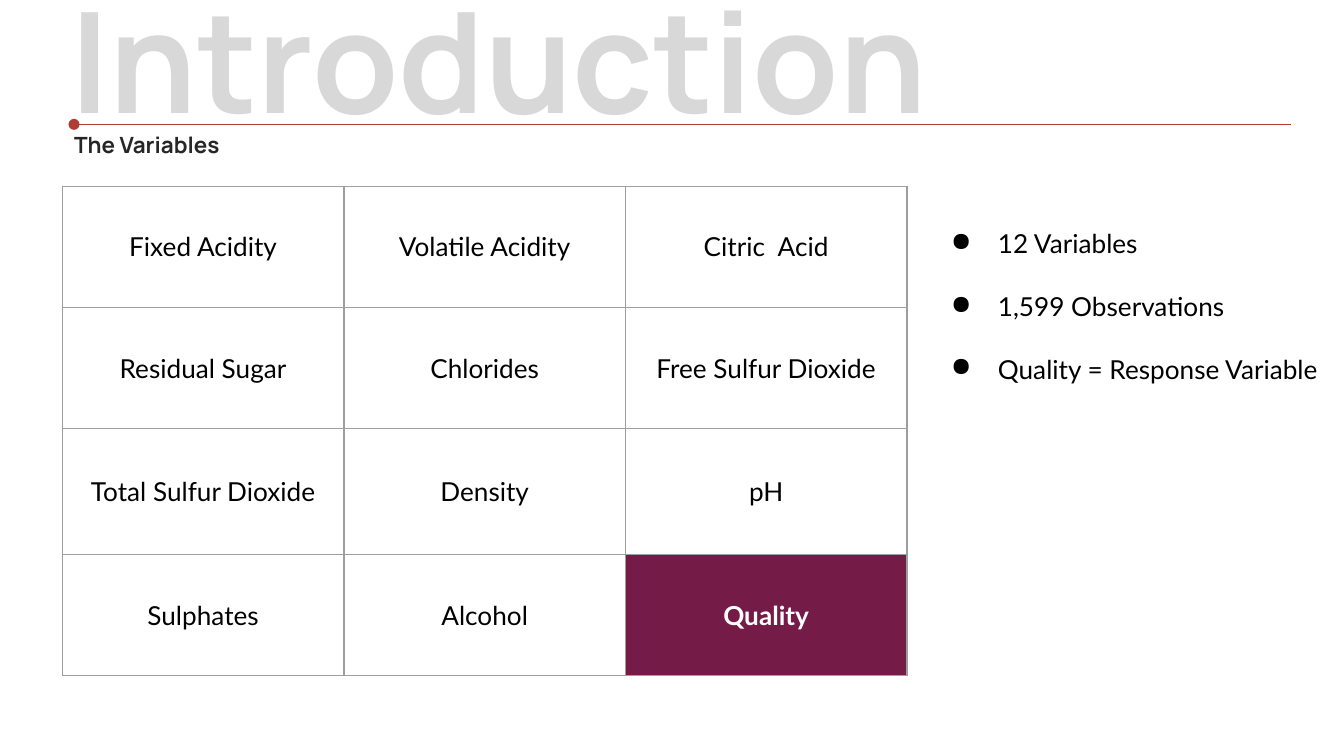
from lxml import etree
from pptx import Presentation
from pptx import util as u
from pptx.dml.color import RGBColor
from pptx.enum import shapes, text
from pptx.oxml import ns

COLORS = {
    "title": "D8D8D8",
    "subtitle": "262626",
    "rule": "AF3D35",
    "grid": "9E9E9E",
    "response": "741B47",
    "black": "000000",
    "white": "FFFFFF",
}
VARIABLES = [
    ["Fixed Acidity", "Volatile Acidity", "Citric  Acid"],
    ["Residual Sugar", "Chlorides", "Free Sulfur Dioxide"],
    ["Total Sulfur Dioxide", "Density", "pH"],
    ["Sulphates", "Alcohol", "Quality"],
]
ROW_HEIGHTS = [2.29, 2.29, 2.38, 2.29]
COLUMN_WIDTH = 5.32
FACTS = ["12 Variables", "1,599 Observations", "Quality = Response Variable"]
INSET = u.Cm(0.25)


def rgb(name):
    return RGBColor.from_string(COLORS[name])


def add_xml(parent, tag, **attrs):
    return etree.SubElement(parent, ns.qn(tag), attrs)


def format_runs(p, font, size, color, bold=False):
    for r in p.runs:
        r.font.name = font
        r.font.size = u.Pt(size)
        r.font.bold = bold
        r.font.color.rgb = rgb(color)


def set_insets(obj, inset):
    obj.margin_left = obj.margin_right = inset
    obj.margin_top = obj.margin_bottom = inset


def add_title(s, words):
    sp = s.shapes.title
    sp.left, sp.top = u.Cm(1.33), u.Cm(0.46)
    sp.width, sp.height = u.Cm(22.3), u.Cm(1.65)
    tf = sp.text_frame
    tf.text = words
    tf.word_wrap = True
    tf.auto_size = text.MSO_AUTO_SIZE.NONE
    tf.vertical_anchor = text.MSO_ANCHOR.MIDDLE
    set_insets(tf, 0)
    p = tf.paragraphs[0]
    p.alignment = text.PP_ALIGN.LEFT
    p.line_spacing = 0.9
    format_runs(p, "Manrope", 75, "title", bold=True)


def add_subtitle(s, words):
    sp = s.shapes.add_shape(
        shapes.MSO_SHAPE.RECTANGLE, u.Cm(1.4), u.Cm(2.34), u.Cm(7.32), u.Cm(1.17))
    sp.shadow.inherit = False
    sp.fill.solid()
    sp.fill.fore_color.rgb = rgb("white")
    sp.line.fill.background()
    tf = sp.text_frame
    tf.word_wrap = True
    tf.vertical_anchor = text.MSO_ANCHOR.TOP
    set_insets(tf, 0)
    tf.margin_top = u.Cm(0.2)
    tf.text = words
    p = tf.paragraphs[0]
    p.alignment = text.PP_ALIGN.LEFT
    p.line_spacing = 0.9
    format_runs(p, "Manrope", 12, "subtitle", bold=True)


def add_rule(s):
    y = u.Cm(2.35)
    line = s.shapes.add_connector(
        shapes.MSO_CONNECTOR.STRAIGHT, u.Cm(1.4), y, u.Cm(24.4), y)
    line.line.color.rgb = rgb("rule")
    line.line.width = u.Pt(0.75)
    add_xml(line.line._get_or_add_ln(), "a:headEnd", type="oval")
    add_xml(line._element.spPr, "a:effectLst")


def set_borders(cell):
    tc_pr = cell._tc.get_or_add_tcPr()
    for i, side in enumerate(("a:lnL", "a:lnR", "a:lnT", "a:lnB")):
        ln = add_xml(tc_pr, side, w=str(u.Pt(0.75)))
        fill = add_xml(ln, "a:solidFill")
        add_xml(fill, "a:srgbClr", val=COLORS["grid"])
        tc_pr.insert(i, ln)  # borders come before the cell fill


def format_cell(cell, words, is_response):
    cell.text = words
    cell.vertical_anchor = text.MSO_ANCHOR.MIDDLE
    set_insets(cell, INSET)
    if is_response:
        cell.fill.solid()
        cell.fill.fore_color.rgb = rgb("response")
    else:
        cell.fill.background()
    p = cell.text_frame.paragraphs[0]
    p.alignment = text.PP_ALIGN.CENTER
    format_runs(p, "Lato", 14, "white" if is_response else "black", is_response)
    set_borders(cell)


def add_variable_table(s):
    n_cols = len(VARIABLES[0])
    table = s.shapes.add_table(
        len(VARIABLES), n_cols, u.Cm(1.18), u.Cm(3.52),
        u.Cm(COLUMN_WIDTH * n_cols), u.Cm(sum(ROW_HEIGHTS))).table
    table.first_row = table.horz_banding = False
    for column in table.columns:
        column.width = u.Cm(COLUMN_WIDTH)
    for i, (names, height) in enumerate(zip(VARIABLES, ROW_HEIGHTS)):
        table.rows[i].height = u.Cm(height)
        for j, name in enumerate(names):
            format_cell(table.cell(i, j), name, name == "Quality")


def add_bullets(s, items):
    sp = s.shapes.add_textbox(u.Cm(17.34), u.Cm(3.46), u.Cm(8.06), u.Cm(3.73))
    tf = sp.text_frame
    tf.word_wrap = True
    set_insets(tf, INSET)
    tf.text = "\n".join(items)
    for p in tf.paragraphs:
        p.line_spacing = 2.0
        format_runs(p, "Lato", 14, "black")
        p_pr = p._p.get_or_add_pPr()
        p_pr.set("marL", str(u.Cm(1.27)))
        p_pr.set("indent", str(-u.Cm(0.89)))
        add_xml(add_xml(p_pr, "a:buClr"), "a:srgbClr", val=COLORS["black"])
        add_xml(p_pr, "a:buChar", char="●")


def main():
    prs = Presentation()
    prs.slide_width, prs.slide_height = u.Cm(25.4), u.Cm(14.29)
    s = prs.slides.add_slide(prs.slide_layouts.get_by_name("Title Only"))

    # Heading
    add_title(s, "Introduction")
    add_subtitle(s, "The Variables")
    add_rule(s)

    # Variables and key facts
    add_variable_table(s)
    add_bullets(s, FACTS)

    prs.save("out.pptx")


if __name__ == "__main__":
    main()
